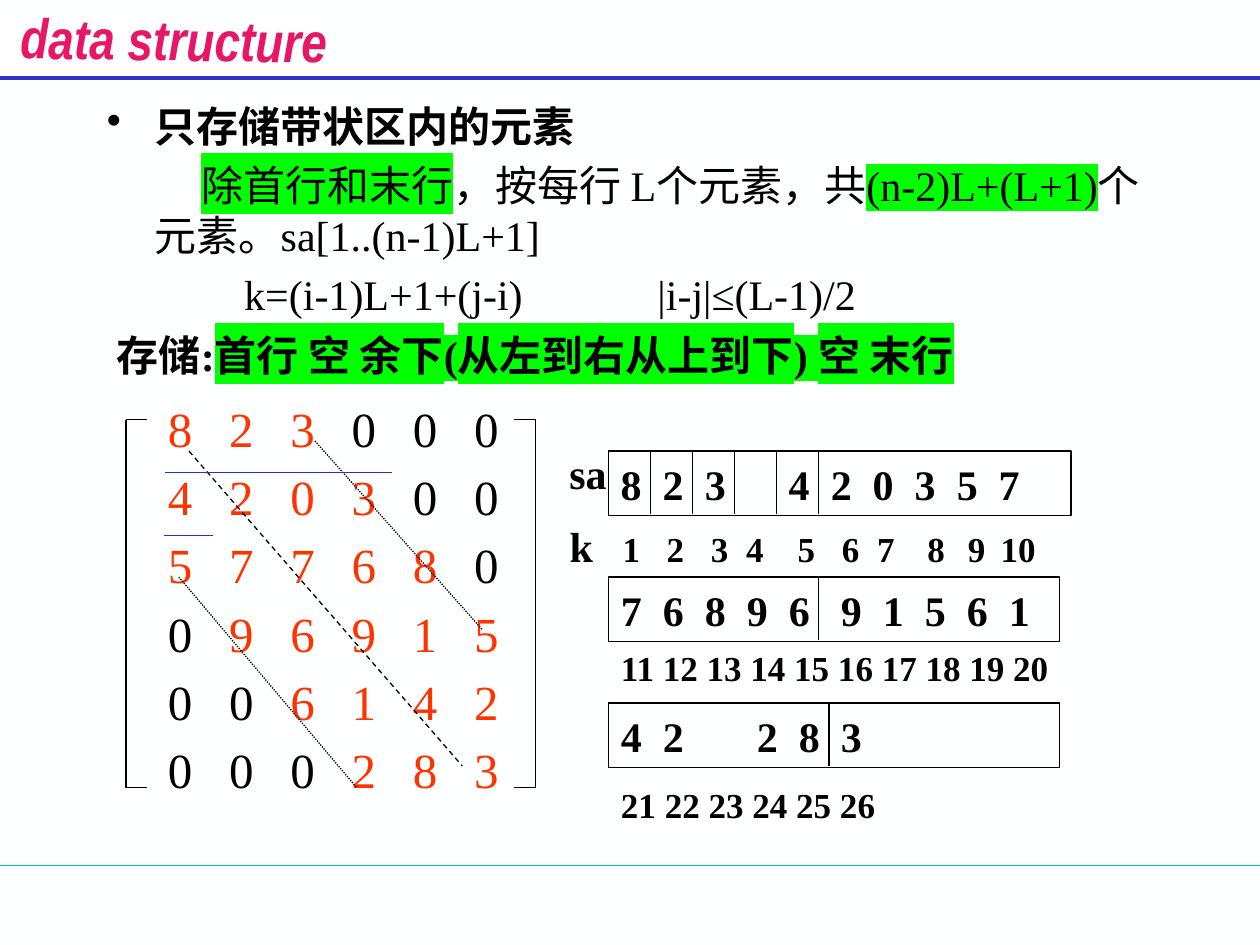
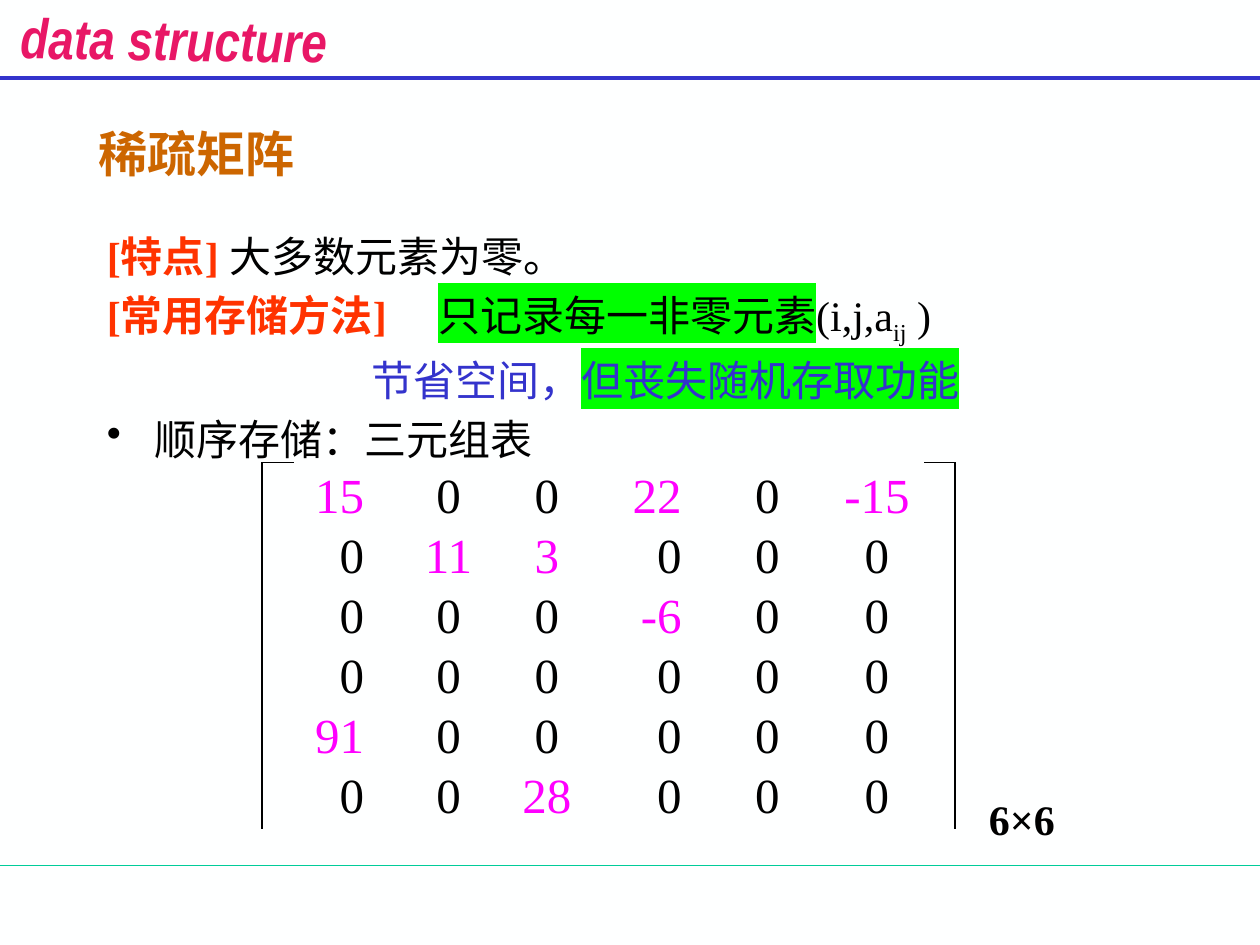
from lxml import etree
from pptx import Presentation
from pptx.dml.color import RGBColor
from pptx.enum.dml import MSO_LINE_DASH_STYLE as Dash
from pptx.enum.shapes import MSO_CONNECTOR as Connector, MSO_SHAPE as Shape
from pptx.enum.text import MSO_ANCHOR as Anchor, PP_ALIGN as Align
from pptx.oxml.ns import qn
from pptx.util import Inches, Pt

COLORS = {
    "background": "FEFFFF", "text": "000000", "rule": "3333CC", "footer": "00CC99",
    "banner": "E81766", "title": "CC6600", "red": "FF3300", "magenta": "FF00FF",
    "highlight": "00FF00", "row_mark": "2E2ECB",
}
FONT = "Times New Roman"
BANNER_FONT = "Arial Narrow"
CELL = 1 / 3
HIGHLIGHT = {"highlight": True}


def rgb(name):
    return RGBColor.from_string(COLORS[name])


def add_line(slide, start, end, color="text", width=0.75, dash=None):
    points = [Inches(value) for value in (*start, *end)]
    line = slide.shapes.add_connector(Connector.STRAIGHT, *points)
    line.line.color.rgb = rgb(color)
    line.line.width = Pt(width)
    if dash:
        line.line.dash_style = dash
    etree.SubElement(line._element.spPr, qn("a:effectLst"))


def format_paragraph(paragraph, size, bold=False, color="text", font=FONT, space=0,
                     margin=0, indent=0, bullet=False, stops=()):
    properties = paragraph._p.get_or_add_pPr()
    if margin or indent:
        properties.set("marL", str(Inches(margin)))
        properties.set("indent", str(Inches(indent)))
    if bullet:
        etree.SubElement(properties, qn("a:buChar")).set("char", "•")
    if stops:
        tabs = etree.SubElement(properties, qn("a:tabLst"))
        for position, alignment in stops:
            tab = etree.SubElement(tabs, qn("a:tab"))
            tab.set("pos", str(Inches(position)))
            tab.set("algn", alignment)
    paragraph.space_before = Pt(space)
    paragraph.font.name = font
    paragraph.font.size = Pt(size)
    paragraph.font.bold = bold
    paragraph.font.color.rgb = rgb(color)


def add_run(paragraph, text, color=None, bold=None, size=None, highlight=False, baseline=None):
    run = paragraph.add_run()
    run.text = text
    run.font.bold = bold
    if size:
        run.font.size = Pt(size)
    if color:
        run.font.color.rgb = rgb(color)
    properties = run._r.get_or_add_rPr()
    if baseline:
        properties.set("baseline", str(baseline * 1000))
    if highlight:
        mark = etree.SubElement(properties, qn("a:highlight"))
        etree.SubElement(mark, qn("a:srgbClr")).set("val", COLORS["highlight"])


def fill_frame(frame, paragraphs):
    for index, (runs, style) in enumerate(paragraphs):
        paragraph = frame.add_paragraph() if index else frame.paragraphs[0]
        format_paragraph(paragraph, **style)
        for text, run_style in runs:
            add_run(paragraph, text, **run_style)


def add_text(slide, box, paragraphs, inset=0.1):
    shape = slide.shapes.add_textbox(*map(Inches, box))
    frame = shape.text_frame
    frame.word_wrap = True
    frame.margin_left = frame.margin_right = Inches(inset)
    fill_frame(frame, paragraphs)
    return shape


def add_label(slide, box, text, size=24):
    add_text(slide, box, [([(text, {})], {"size": size, "bold": True})])


def add_page(presentation, layout):
    slide = presentation.slides.add_slide(presentation.slide_layouts[layout])
    slide.background.fill.solid()
    slide.background.fill.fore_color.rgb = rgb("background")
    add_line(slide, (0, 6.87), (10, 6.87), "footer")
    add_line(slide, (0, 0.62), (10, 0.62), "rule", 2.25)
    style = {"size": 32, "bold": True, "color": "banner", "font": BANNER_FONT}
    banner = add_text(slide, (0.03, -0.01, 2.7, 0.54),
                      [([("data structure", {})], style)], inset=0)
    banner.rotation = 0.8
    paragraph = banner.text_frame.paragraphs[0]
    paragraph.alignment = Align.CENTER
    paragraph.font.italic = True
    return slide


def add_brackets(slide, box, tick, closed):
    left, top, width, height = box
    bottom = top + height
    for x, inner in ((left, left + tick), (left + width, left + width - tick)):
        add_line(slide, (x, top), (x, bottom))
        for y in (top, bottom) if closed else (top,):
            add_line(slide, (x, y), (inner, y))


def add_matrix(slide, box, rows, stops, space, accent, is_accent):
    paragraphs = []
    for i, row in enumerate(rows):
        runs = [("\t" + value, {"color": accent if is_accent(i, j, value) else "text"})
                for j, value in enumerate(row.split())]
        paragraphs.append((runs, {"size": 28, "space": space if i else 0, "stops": stops}))
    frame = add_text(slide, box, paragraphs, inset=0).text_frame
    frame.margin_top = frame.margin_bottom = 0


def add_array_row(slide, box, values, separators, shift_from):
    left, top, width, height = box
    shape = slide.shapes.add_shape(Shape.RECTANGLE, *map(Inches, box))
    shape.shadow.inherit = False
    shape.fill.background()
    shape.line.color.rgb = rgb("text")
    shape.line.width = Pt(0.75)
    frame = shape.text_frame
    frame.margin_left = frame.margin_right = 0
    stops = [(0.18 + i * CELL + (0.08 if i >= shift_from else 0), "ctr")
             for i in range(len(values))]
    runs = [("".join("\t" + value.strip() for value in values), {})]
    fill_frame(frame, [(runs, {"size": 24, "bold": True, "stops": stops})])
    frame.paragraphs[0].alignment = Align.LEFT
    for offset in separators:
        add_line(slide, (left + offset, top), (left + offset, top + 0.5))


def add_storage_array(slide, left, top):
    add_array_row(slide, (left, top, 3.67, 0.51), "823 420357",
                  [n * CELL for n in range(1, 6)], 10)
    add_array_row(slide, (left, top + 1, 3.58, 0.51), "7689691561", [5 * CELL], 5)
    add_array_row(slide, (left, top + 2, 3.58, 0.51), "42 283", [1.75], 3)
    add_label(slide, (left - 0.41, top - 0.08, 0.6, 0.5), "sa")
    centers = (0.18, 0.53, 0.88, 1.16, 1.57, 1.92, 2.2, 2.6, 2.92, 3.25)
    stops = [(center + 0.31, "ctr") for center in centers]
    numbers = "".join(f"\t{k}" for k in range(1, 11))
    add_text(slide, (left - 0.31, top + 0.5, 4.08, 0.5),
             [([("k", {}), (numbers, {"size": 20})],
               {"size": 24, "bold": True, "stops": stops})], inset=0)
    for first, last, offset, width in ((11, 20, 1.5, 3.67), (21, 26, 2.59, 2.42)):
        indices = " ".join(map(str, range(first, last + 1)))
        add_label(slide, (left, top + offset, width, 0.43), indices, 20)


def add_band_matrix(slide, left, top):
    add_brackets(slide, (left, top, 3.25, 2.92), 0.17, True)
    rows = ["8 2 3 0 0 0", "4 2 0 3 0 0", "5 7 7 6 8 0",
            "0 9 6 9 1 5", "0 0 6 1 4 2", "0 0 0 2 8 3"]
    add_matrix(slide, (left, top - 0.17, 3.25, 3.2), rows,
               [(0.43 + 0.486 * i, "ctr") for i in range(6)], 5.4, "red",
               lambda i, j, value: abs(i - j) <= 2)
    for x1, y1, x2, y2, dash in ((1.5, 0.17, 2.83, 1.67, Dash.ROUND_DOT),
                                 (0.42, 1.25, 1.83, 2.92, Dash.ROUND_DOT),
                                 (0.5, 0.25, 2.67, 2.75, Dash.DASH)):
        add_line(slide, (left + x1, top + y1), (left + x2, top + y2), dash=dash)
    for x1, x2, y in ((0.31, 2.11, 0.42), (0.3, 0.69, 0.92)):
        add_line(slide, (left + x1, top + y), (left + x2, top + y), "row_mark")


def build_band_slide(presentation):
    slide = add_page(presentation, 6)
    add_text(slide, (0.75, 0.75, 8.5, 1.9), [
        ([("只存储带状区内的元素", {})],
         {"size": 24, "bold": True, "margin": 0.38, "indent": -0.38, "bullet": True}),
        ([("除首行和末行", HIGHLIGHT), ("，按每行 L个元素，共", {}),
          ("(n-2)L+(L+1)", HIGHLIGHT), ("个元素。sa[1..(n-1)L+1]", {})],
         {"size": 24, "space": 4.8, "margin": 0.38, "indent": 0.37}),
        ([("\tk=(i-1)L+1+(j-i)\t|i-j|≤(L-1)/2", {})],
         {"size": 24, "space": 4.8, "stops": [(1.09, "l"), (4.37, "l")]}),
    ])
    add_text(slide, (0.83, 2.57, 8.26, 0.5), [
        ([("存储:", {}), ("首行 空 余下(从左到右从上到下) 空 末行", HIGHLIGHT)],
         {"size": 24, "bold": True})])
    add_band_matrix(slide, 1, 3.33)
    add_storage_array(slide, 4.83, 3.58)


def add_sparse_matrix(slide, left, top):
    add_brackets(slide, (left, top, 5.5, 2.91), 0.25, False)
    rows = ["15 0 0 22 0 -15", "0 11 3 0 0 0", "0 0 0 -6 0 0",
            "0 0 0 0 0 0", "91 0 0 0 0 0", "0 0 28 0 0 0"]
    stops = [(0.81, "r"), (1.48, "ctr"), (2.26, "ctr"),
             (3.33, "r"), (4.01, "ctr"), (4.88, "ctr")]
    add_matrix(slide, (left, top + 0.02, 5.5, 2.85), rows, stops, 0.6, "magenta",
               lambda i, j, value: value != "0")
    add_label(slide, (left + 5.67, top + 2.58, 1, 0.5), "6×6")


def add_title(slide, box, text):
    title = slide.shapes.title
    title.left, title.top, title.width, title.height = map(Inches, box)
    frame = title.text_frame
    frame.vertical_anchor = Anchor.MIDDLE
    fill_frame(frame, [([(text, {})], {"size": 28, "bold": True, "color": "title"})])
    frame.paragraphs[0].alignment = Align.LEFT


def build_sparse_slide(presentation):
    slide = add_page(presentation, 5)
    add_title(slide, (0.68, 0.92, 8.41, 0.58), "稀疏矩阵")
    heading = {"color": "red", "bold": True}
    body = {"size": 24, "space": 4.8}
    add_text(slide, (0.75, 1.78, 8.5, 1.95), [
        ([("[特点] ", heading), ("大多数元素为零。", {})], {"size": 24}),
        ([("[常用存储方法]\t", heading), ("只记录每一非零元素", HIGHLIGHT),
          ("(i,j,a", {}), ("ij", {"baseline": -25}), (" )", {})],
         {**body, "stops": [(2.63, "l")]}),
        ([("节省空间，", {}), ("但丧失随机存取功能", HIGHLIGHT)],
         {**body, "color": "rule", "indent": 2.1}),
        ([("顺序存储：三元组表", {})],
         {**body, "margin": 0.38, "indent": -0.38, "bullet": True}),
    ])
    add_sparse_matrix(slide, 2.08, 3.67)


def main():
    presentation = Presentation()
    presentation.slide_width = Inches(10)
    presentation.slide_height = Inches(7.5)
    build_band_slide(presentation)
    build_sparse_slide(presentation)
    presentation.save("out.pptx")


if __name__ == "__main__":
    main()
